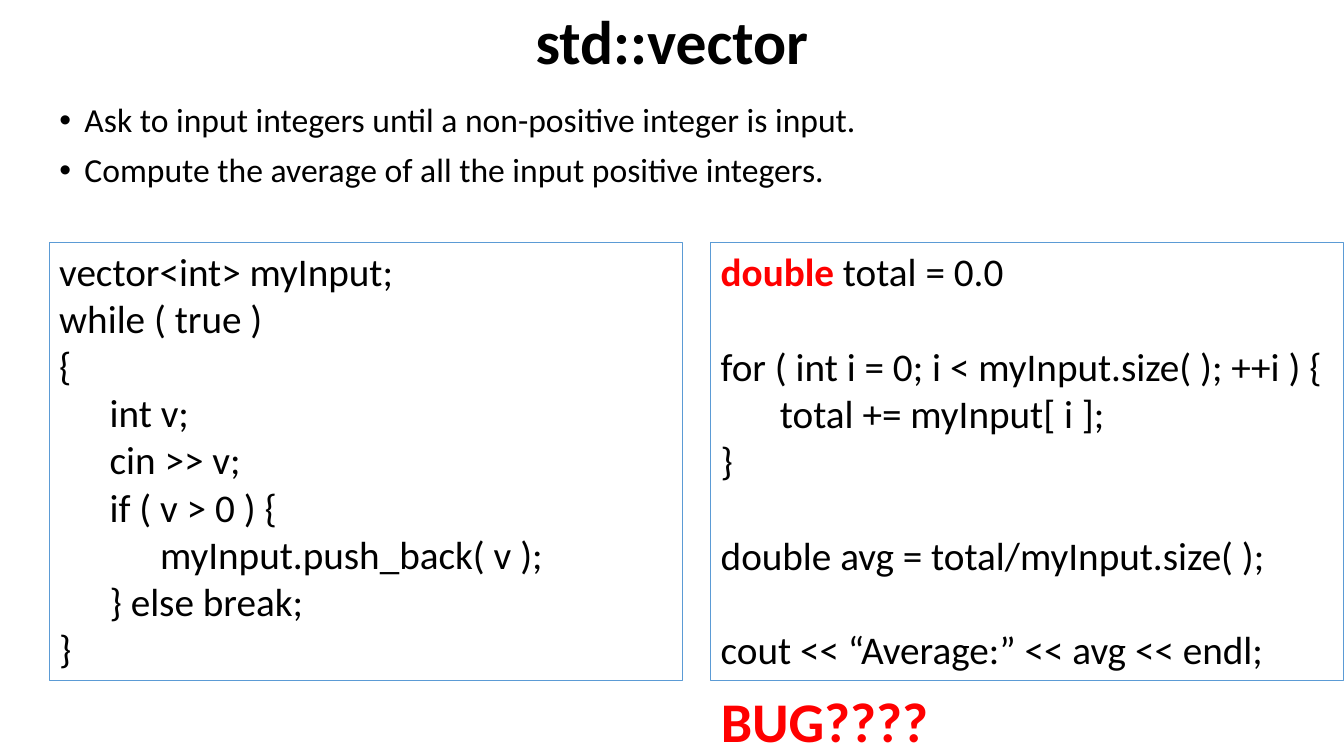
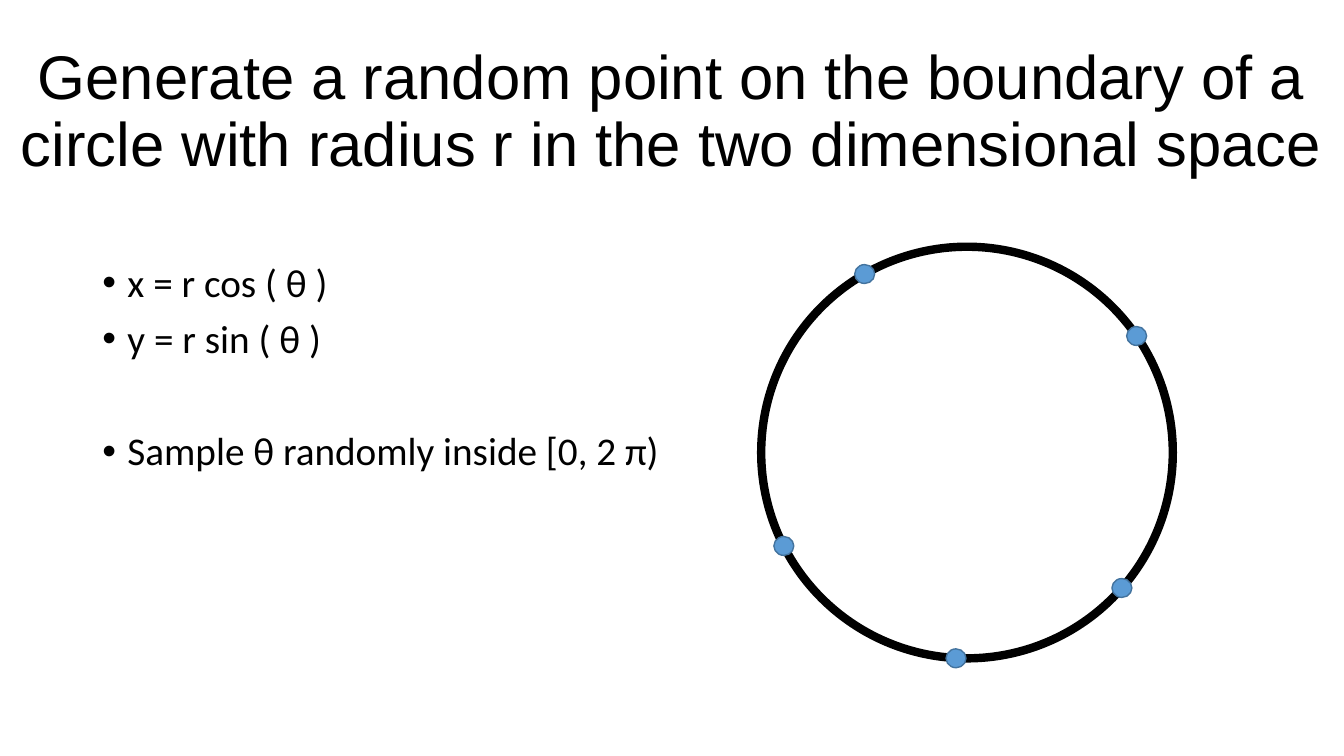
from dataclasses import dataclass
from math import cos, radians, sin

from lxml.etree import SubElement as Sub
from pptx import Presentation as Deck
from pptx.dml.color import RGBColor as Rgb
from pptx.enum.shapes import MSO_SHAPE as Kind
from pptx.enum.text import MSO_ANCHOR as Anchor, PP_ALIGN as Align
from pptx.oxml.ns import qn
from pptx.util import Pt

PX = 9525  # EMU in one px, 96 px to the inch
WIDE, HIGH = 1280, 720


@dataclass(frozen=True)
class Theme:
    ink: str = "000000"
    red: str = "FF0000"
    blue: str = "5B9BD5"
    edge: str = "43739E"
    body: str = "Calibri"
    plain: str = "Arial"
    head: int = 44
    shout: int = 40
    code: int = 28
    tight: float = 0.9
    gap: int = 10


THEME = Theme()


def write(para, text, size=THEME.code, color=THEME.ink, bold=False, font=THEME.body):
    """Add one formatted run to a paragraph."""
    run = para.add_run()
    run.text = text
    face = run.font
    face.name, face.size, face.bold = font, Pt(size), bold
    face.color.rgb = Rgb.from_string(color)


def paras(frame, count):
    """Yield the first paragraph of a frame, then new ones."""
    yield frame.paragraphs[0]
    for _ in range(count - 1):
        yield frame.add_paragraph()


class Pen:
    """Holds the style and the current slide."""

    def __init__(self, theme):
        self.theme = theme
        self.deck = Deck()
        self.deck.slide_width, self.deck.slide_height = WIDE * PX, HIGH * PX
        self.slide = None

    def page(self):
        self.slide = self.deck.slides.add_slide(self.deck.slide_layouts[6])

    def text(self, *box, wrap=True):
        frame = self.slide.shapes.add_textbox(*(n * PX for n in box)).text_frame
        frame.word_wrap = wrap
        return frame

    def shape(self, kind, *box, line, width, fill=None):
        item = self.slide.shapes.add_shape(kind, *(n * PX for n in box))
        item.shadow.inherit = False
        if fill:
            item.fill.solid()
            item.fill.fore_color.rgb = Rgb.from_string(fill)
        else:
            item.fill.background()
        item.line.color.rgb = Rgb.from_string(line)
        item.line.width = Pt(width)
        return item

    def title(self, text, top, high, **form):
        frame = self.text(0, top, WIDE, high)
        frame.vertical_anchor = Anchor.MIDDLE
        para = frame.paragraphs[0]
        para.alignment = Align.CENTER
        para.line_spacing = self.theme.tight
        write(para, text, size=self.theme.head, **form)

    def list(self, *box, items, size):
        """Bullets; each item is a text and the space before it."""
        frame = self.text(*box)
        for para, (text, space) in zip(paras(frame, len(items)), items):
            props = para._p.get_or_add_pPr()
            props.set("marL", str(24 * PX))
            props.set("indent", str(-24 * PX))
            Sub(props, qn("a:buFont"), typeface=self.theme.plain)
            Sub(props, qn("a:buChar"), char="•")
            para.line_spacing = self.theme.tight
            para.space_before = Pt(space)
            write(para, text, size=size)

    def code(self, *box, lines, key=""):
        """Framed code; an empty line becomes space before the next one."""
        frame = self.shape(Kind.RECTANGLE, *box, line=self.theme.blue, width=0.75).text_frame
        frame.word_wrap = True
        frame.vertical_anchor = Anchor.TOP
        shown = [(now, last) for last, now in zip(["{"] + lines, lines) if now]
        for para, (text, last) in zip(paras(frame, len(shown)), shown):
            para.alignment = Align.LEFT
            if not last:
                para.space_before = Pt(34)
            if key and para._p is frame.paragraphs[0]._p:
                write(para, key, color=self.theme.red, bold=True)
            write(para, text)

    def ring(self, x, y, wide, high, **look):
        """Ellipse given by its centre."""
        self.shape(Kind.OVAL, round(x - wide / 2), round(y - high / 2), wide, high, **look)


LOOP = """vector<int> myInput;
while ( true )
{
\tint v;
\tcin >> v;
\tif ( v > 0 ) {
\t\tmyInput.push_back( v );
\t} else break;
}"""

MEAN = """ total = 0.0

for ( int i = 0; i < myInput.size( ); ++i ) {
\t total += myInput[ i ];
}

double avg = total/myInput.size( );

cout << “Average:” << avg << endl;"""


def vector(pen):
    look = pen.theme
    pen.page()
    pen.title("std::vector", 0, 84, bold=True)
    pen.list(47, 94, 1145, 110, size=24, items=[
        ("Ask to input integers until a non-positive integer is input.", 0),
        ("Compute the average of all the input positive integers.", look.gap),
    ])
    # Two code panels
    pen.code(47, 231, 603, 417, lines=LOOP.split("\n"))
    pen.code(677, 231, 603, 417, lines=MEAN.split("\n"), key="double")
    # Warning
    note = pen.text(677, 649, 217, 71, wrap=False)
    write(note.paragraphs[0], "BUG????", size=look.shout, color=look.red, bold=True)


def circle(pen):
    look = pen.theme
    pen.page()
    pen.title("Generate a random point on the boundary of a circle with radius r "
              "in the two dimensional space", 38, 139, font=look.plain)
    pen.list(88, 246, 620, 240, size=28, items=[
        ("x = r cos ( θ )", 0),
        ("y = r sin ( θ )", look.gap),
        ("Sample θ randomly inside [0, 2 π)", 50),
    ])
    # Circle with sample points at angles in degrees
    x, y, r = 921, 431, 196
    pen.ring(x, y, 2 * r, 2 * r, line=look.ink, width=6)
    for turn in map(radians, (34.5, -41, 207, 267, 120)):
        pen.ring(x + r * cos(turn), y - r * sin(turn), 19, 18,
                 line=look.edge, width=1, fill=look.blue)


def main():
    pen = Pen(THEME)
    vector(pen)
    circle(pen)
    pen.deck.save("out.pptx")


if __name__ == "__main__":
    main()
